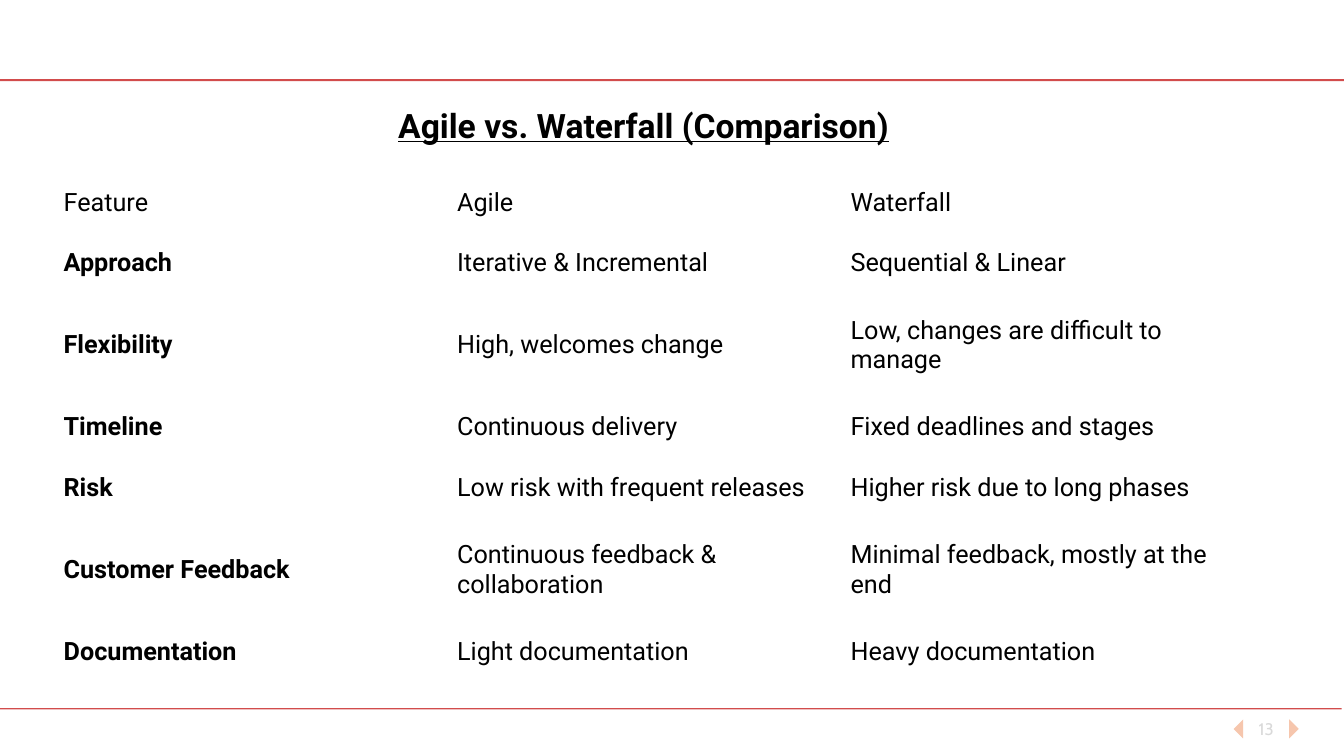
from dataclasses import dataclass

from lxml import etree
from pptx import Presentation
from pptx.dml.color import RGBColor
from pptx.enum.shapes import MSO_CONNECTOR
from pptx.enum.text import MSO_ANCHOR, MSO_AUTO_SIZE, PP_ALIGN
from pptx.oxml.ns import qn
from pptx.util import Cm, Pt

STRAIGHT = MSO_CONNECTOR.STRAIGHT
MIDDLE = MSO_ANCHOR.MIDDLE
LEFT, CENTER = PP_ALIGN.LEFT, PP_ALIGN.CENTER
NO_AUTOFIT = MSO_AUTO_SIZE.NONE
TITLE_ONLY = 5


@dataclass(frozen=True)
class Theme:
    text: RGBColor = RGBColor(0, 0, 0)
    rule: RGBColor = RGBColor(0xC0, 0, 0)
    arrow: RGBColor = RGBColor(0xF6, 0xC6, 0xAD)
    number: RGBColor = RGBColor(0xD9, 0xD9, 0xD9)
    body_font: str = "Roboto"
    number_font: str = "Cabin"
    title_size: int = 24
    body_size: int = 18
    number_size: int = 12


THEME = Theme()
COMPARISON = [
    ("Feature", "Agile", "Waterfall"),
    ("Approach", "Iterative & Incremental", "Sequential & Linear"),
    ("Flexibility", "High, welcomes change", "Low, changes are difficult to manage"),
    ("Timeline", "Continuous delivery", "Fixed deadlines and stages"),
    ("Risk", "Low risk with frequent releases", "Higher risk due to long phases"),
    ("Customer Feedback", "Continuous feedback & collaboration",
     "Minimal feedback, mostly at the end"),
    ("Documentation", "Light documentation", "Heavy documentation"),
]
TALL_ROWS = {"Flexibility", "Customer Feedback"}


def write(tf, text, size=THEME.body_size, font=THEME.body_font,
          color=THEME.text, bold=False, underline=False, align=LEFT):
    p = tf.paragraphs[0]
    p.alignment = align
    r = p.add_run()
    r.text = text
    r.font.size = Pt(size)
    r.font.name = font
    r.font.color.rgb = color
    r.font.bold = bold
    r.font.underline = underline


def add_rule(s, x, y, width, weight):
    line = s.shapes.add_connector(STRAIGHT, Cm(x), Cm(y), Cm(x + width), Cm(y))
    line.line.color.rgb = THEME.rule
    line.line.width = Pt(weight)
    color = line.line.fill._xPr.find(qn("a:solidFill"))[0]
    etree.SubElement(color, qn("a:alpha")).set("val", "70000")
    etree.SubElement(line._element.spPr, qn("a:effectLst"))


def add_arrow(s, base_x, tip_x, y, height):
    fb = s.shapes.build_freeform(Cm(base_x), Cm(y))
    fb.add_line_segments([(Cm(tip_x), Cm(y + height / 2)),
                          (Cm(base_x), Cm(y + height))])
    sp = fb.convert_to_shape()
    sp.shadow.inherit = False
    sp.fill.solid()
    sp.fill.fore_color.rgb = THEME.arrow
    sp.line.fill.background()


def add_pager(s, x, y, width, height, number):
    arrow_w, arrow_h = 0.24, 0.48
    arrow_y = y + (height - arrow_h) / 2
    add_arrow(s, x + arrow_w, x, arrow_y, arrow_h)
    add_arrow(s, x + width - arrow_w, x + width, arrow_y, arrow_h)
    sp = s.shapes.add_textbox(Cm(x + 0.1), Cm(y), Cm(width - 0.2), Cm(height))
    tf = sp.text_frame
    tf.word_wrap = True
    tf.vertical_anchor = MIDDLE
    write(tf, number, size=THEME.number_size, font=THEME.number_font,
          color=THEME.number, align=CENTER)


def add_title(s, x, y, width, height, text):
    sp = s.shapes.title
    sp.left, sp.top, sp.width, sp.height = Cm(x), Cm(y), Cm(width), Cm(height)
    tf = sp.text_frame
    tf.auto_size = NO_AUTOFIT
    tf.word_wrap = False
    tf.vertical_anchor = MIDDLE
    write(tf, text, size=THEME.title_size, bold=True, underline=True)


def add_comparison(s, x, y, width, height, rows):
    short = 1.52
    tall = (height - short * (len(rows) - len(TALL_ROWS))) / len(TALL_ROWS)
    table = s.shapes.add_table(len(rows), len(rows[0]), Cm(x), Cm(y),
                               Cm(width), Cm(height)).table
    table.first_row = False
    table.horz_banding = False
    for i, row in enumerate(rows):
        table.rows[i].height = Cm(tall if row[0] in TALL_ROWS else short)
        for j, text in enumerate(row):
            cell = table.cell(i, j)
            cell.fill.background()
            cell.vertical_anchor = MIDDLE
            write(cell.text_frame, text, bold=i > 0 and j == 0)


def main():
    prs = Presentation()
    prs.slide_width, prs.slide_height = Cm(33.87), Cm(19.05)
    s = prs.slides.add_slide(prs.slide_layouts[TITLE_ONLY])
    add_pager(s, 31.09, 17.86, 1.64, 1.02, "13")
    add_rule(s, 0, 17.86, 33.81, 1)
    add_rule(s, 0, 2.02, 33.87, 1.5)
    add_comparison(s, 1.35, 4.35, 29.75, 12.84, COMPARISON)
    add_title(s, 9.78, 2.5, 12.93, 1.28, "Agile vs. Waterfall (Comparison)")
    prs.save("out.pptx")


if __name__ == "__main__":
    main()
